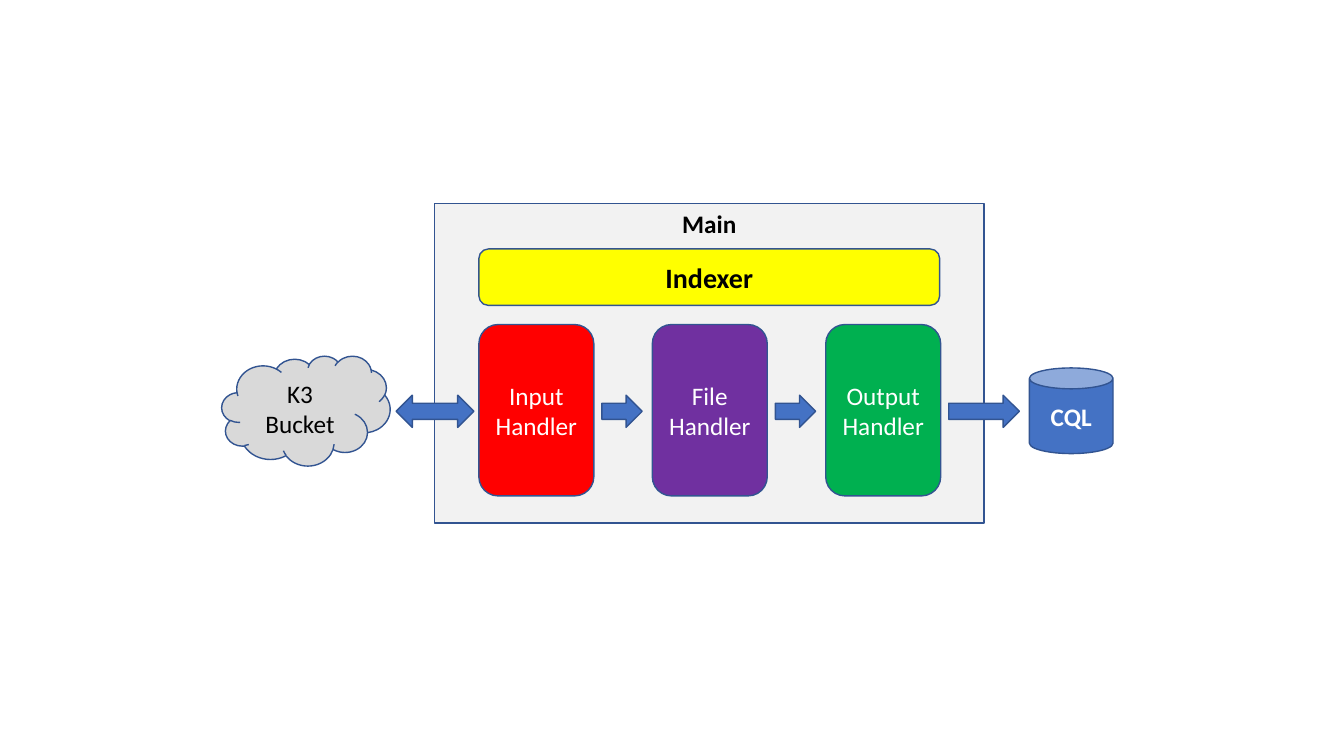
from pptx import Presentation
from pptx.dml.color import RGBColor
from pptx.enum.shapes import MSO_SHAPE
from pptx.enum.text import MSO_ANCHOR, PP_ALIGN
from pptx.util import Inches, Pt

COLORS = {
    "outline": "325491",
    "panel": "F2F2F2",
    "indexer": "FFFF00",
    "input": "FF0000",
    "file": "7030A0",
    "output": "00B050",
    "cloud": "D9D9D9",
    "blue": "4472C4",
    "black": "000000",
    "white": "FFFFFF",
}

HANDLERS = [("Input", "input"), ("File", "file"), ("Output", "output")]
HANDLER_LEFT, HANDLER_STEP = 4.75, 1.72
ARROW_TOP, ARROW_HEIGHT = 3.92, 0.32


def color(name):
    return RGBColor.from_string(COLORS[name])


def add_block(slide, kind, box, fill):
    """Add a filled, outlined shape; box is left, top, width, height."""
    shape = slide.shapes.add_shape(kind, *map(Inches, box))
    shape.shadow.inherit = False
    shape.fill.solid()
    shape.fill.fore_color.rgb = color(fill)
    shape.line.color.rgb = color("outline")
    shape.line.width = Pt(1)
    return shape


def add_label(shape, text, font_color, size=18, bold=False, anchor=MSO_ANCHOR.MIDDLE):
    """Write centred text into a shape."""
    frame = shape.text_frame
    frame.word_wrap = True
    frame.vertical_anchor = anchor
    paragraph = frame.paragraphs[0]
    paragraph.text = text
    paragraph.alignment = PP_ALIGN.CENTER
    font_format = {"name": "Calibri", "size": Pt(size), "bold": bold}
    for run in paragraph.runs:
        for attribute, value in font_format.items():
            setattr(run.font, attribute, value)
        run.font.color.rgb = color(font_color)


def add_arrow(slide, left, width, kind=MSO_SHAPE.RIGHT_ARROW):
    add_block(slide, kind, (left, ARROW_TOP, width, ARROW_HEIGHT), "blue")


def main():
    presentation = Presentation()
    presentation.slide_width = Inches(13.33)
    presentation.slide_height = Inches(7.5)
    slide = presentation.slides.add_slide(presentation.slide_layouts[6])

    # Main panel and indexer
    panel = add_block(slide, MSO_SHAPE.RECTANGLE, (4.31, 2.02, 5.45, 3.17), "panel")
    add_label(panel, "Main", "black", bold=True, anchor=MSO_ANCHOR.TOP)
    indexer = add_block(
        slide, MSO_SHAPE.ROUNDED_RECTANGLE, (HANDLER_LEFT, 2.47, 4.57, 0.56), "indexer"
    )
    add_label(indexer, "Indexer", "black", size=20, bold=True)

    # Handlers, with an arrow in each gap
    for index, (name, fill) in enumerate(HANDLERS):
        left = HANDLER_LEFT + index * HANDLER_STEP
        handler = add_block(
            slide, MSO_SHAPE.ROUNDED_RECTANGLE, (left, 3.22, 1.14, 1.7), fill
        )
        add_label(handler, f"{name}\vHandler", "white")
        if index < len(HANDLERS) - 1:
            add_arrow(slide, left + 1.22, 0.4)

    # Storage on both sides
    cloud = add_block(slide, MSO_SHAPE.CLOUD, (2.2, 3.53, 1.67, 1.09), "cloud")
    add_label(cloud, "K3 Bucket", "black")
    database = add_block(slide, MSO_SHAPE.CAN, (10.21, 3.65, 0.83, 0.85), "blue")
    add_label(database, "CQL", "white", bold=True)

    # Arrows to and from storage
    add_arrow(slide, 3.93, 0.77, MSO_SHAPE.LEFT_RIGHT_ARROW)
    add_arrow(slide, 9.41, 0.7)

    presentation.save("out.pptx")


if __name__ == "__main__":
    main()
